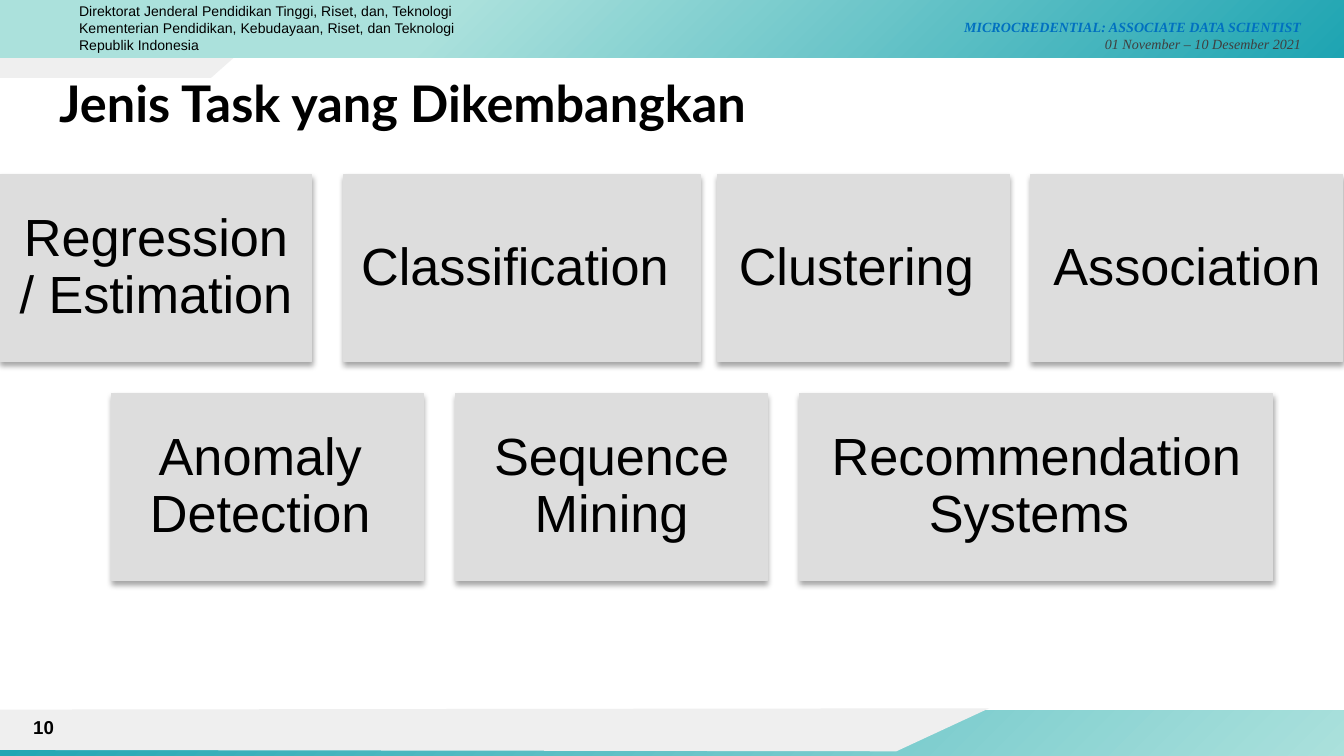
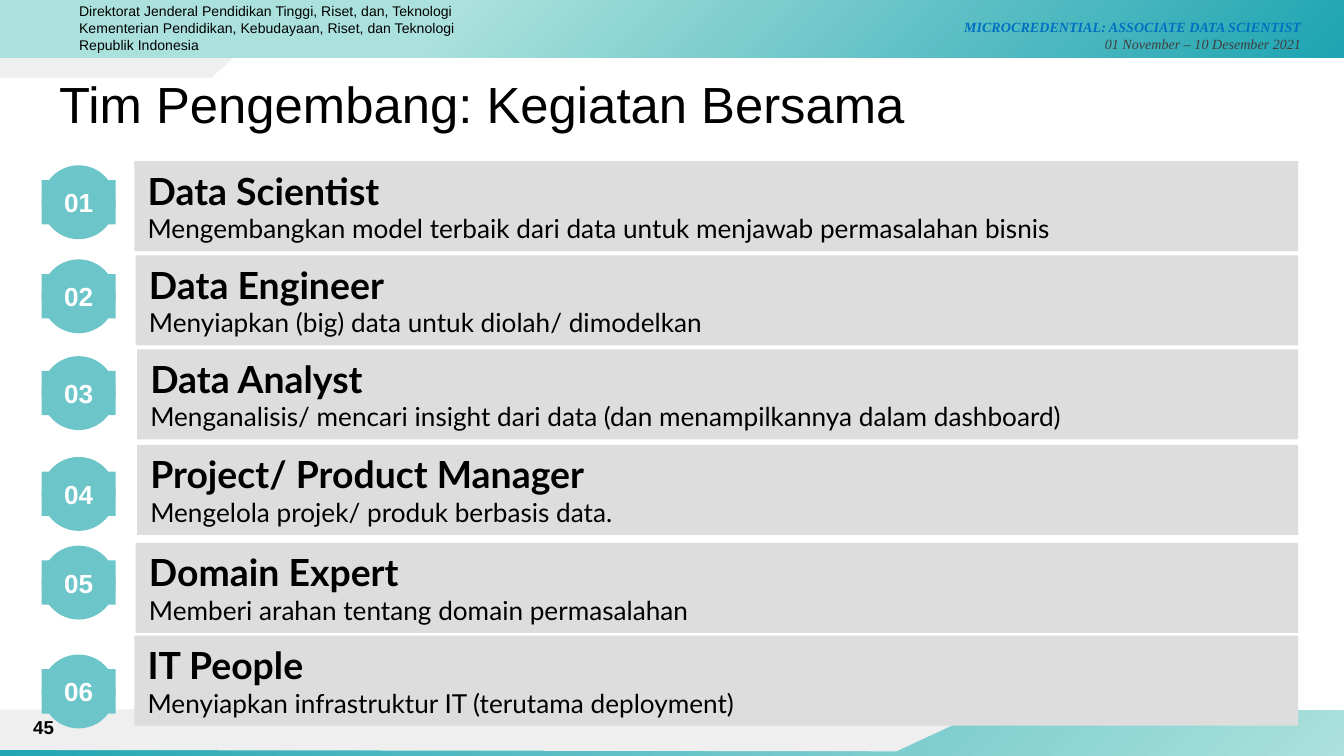
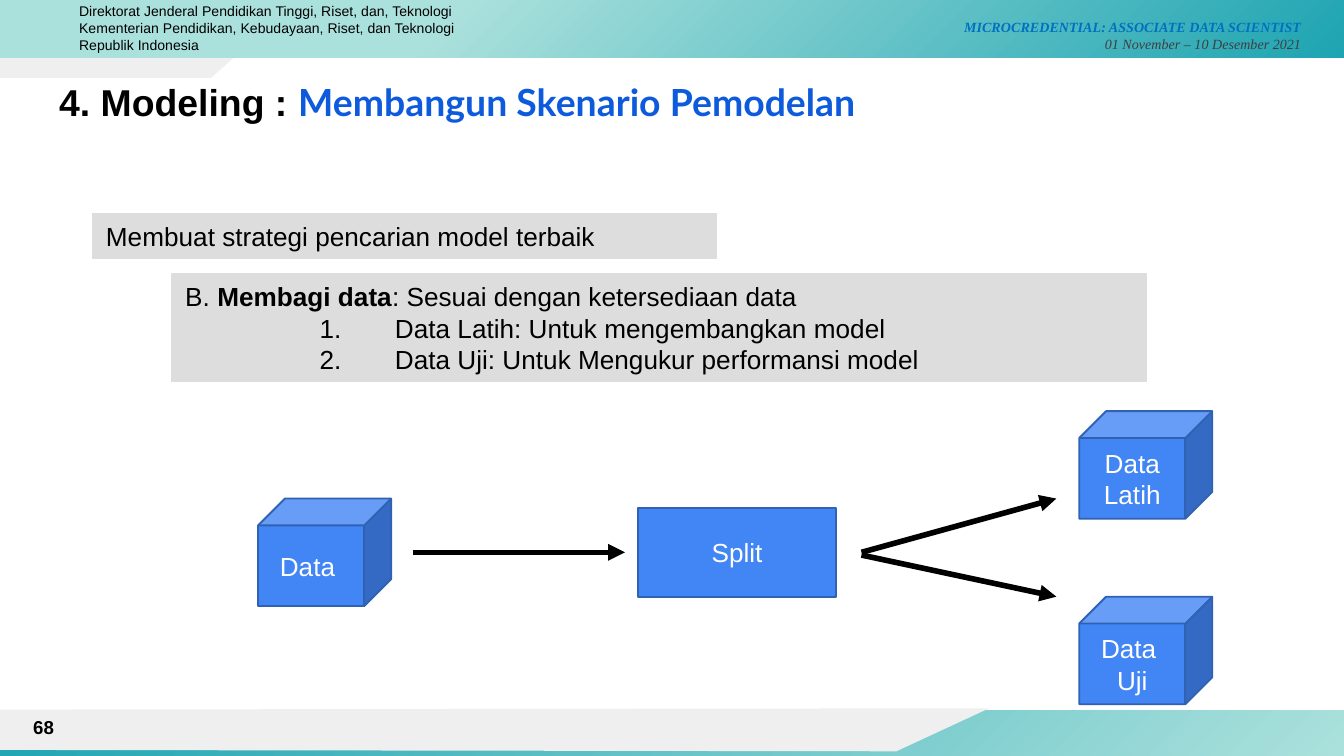
import copy
from dataclasses import dataclass
from typing import Any, NamedTuple

import lxml.etree
import pptx
import pptx.dml.color
import pptx.enum.dml
import pptx.enum.shapes
import pptx.enum.text
import pptx.oxml.ns
import pptx.util

Inches = pptx.util.Inches
Pt = pptx.util.Pt
qn = pptx.oxml.ns.qn
Align = pptx.enum.text.PP_ALIGN
Anchor = pptx.enum.text.MSO_ANCHOR
Preset = pptx.enum.shapes.MSO_SHAPE


@dataclass(frozen=True)
class Theme:
    black: str = "000000"
    white: str = "FFFFFF"
    panel: str = "DDDDDD"
    wedge: str = "EFEFEF"
    teal: str = "1EA4B2"
    mint: str = "ABE1DC"
    badge: str = "6BC5C9"
    course: str = "0070C0"
    dates: str = "3F3F3F"
    accent: str = "0D5BDC"
    node: str = "4285F4"
    node_edge: str = "3062B4"
    sans: str = "Arial"
    heading: str = "Lato"
    serif: str = "Times New Roman"
    header_size: float = 7.5
    number_size: float = 10
    body_size: float = 14
    role_size: float = 20
    title_size: float = 27
    team_title_size: float = 27.2
    card_size: float = 28


THEME = Theme()


class Span(NamedTuple):
    text: str
    size: float = THEME.body_size
    font: str = THEME.sans
    color: str = THEME.black
    bold: bool = False
    italic: bool = False


class Area(NamedTuple):
    left: float
    top: float
    width: float
    height: float

    def lengths(self) -> list[int]:
        return [Inches(value) for value in self]


class Card(NamedTuple):
    text: str
    left: float
    width: float


class Role(NamedTuple):
    name: str
    duty: str
    left: float
    top: float
    badge_top: float


class Node(NamedTuple):
    text: str
    preset: Any
    area: Area


class Arrow(NamedTuple):
    start: tuple[float, float]
    end: tuple[float, float]


TITLE_AREA = Area(0.34, 0.49, 9.32, 0.62)
CARD_HEIGHT = 1.39
CARD_ROWS = {
    1.3: [
        Card("Regression / Estimation ", 0, 2.32),
        Card("Classification ", 2.56, 2.65),
        Card("Clustering ", 5.34, 2.17),
        Card("Association ", 7.67, 2.32),
    ],
    2.93: [
        Card("Anomaly \nDetection ", 0.83, 2.32),
        Card("Sequence\n Mining ", 3.39, 2.32),
        Card("Recommendation Systems ", 5.95, 3.52),
    ],
}
ROLE_RIGHT = 9.66
ROLES = [
    Role("Data Scientist",
         "Mengembangkan model terbaik dari data untuk menjawab permasalahan bisnis",
         1, 1.2, 1.23),
    Role("Data Engineer", "Menyiapkan (big) data untuk diolah/ dimodelkan",
         1.01, 1.9, 1.93),
    Role("Data Analyst",
         "Menganalisis/ mencari insight dari data (dan menampilkannya dalam dashboard)",
         1.02, 2.6, 2.65),
    Role("Project/ Product Manager", "Mengelola projek/ produk berbasis data.",
         1.02, 3.31, 3.4),
    Role("Domain Expert", "Memberi arahan tentang domain permasalahan",
         1.01, 4.04, 4.06),
    Role("IT People", "Menyiapkan infrastruktur IT (terutama deployment)",
         1, 4.73, 4.87),
]
NODES = [
    Node("Split", Preset.RECTANGLE, Area(4.75, 3.78, 1.47, 0.66)),
    Node("Data ", Preset.CUBE, Area(1.92, 3.71, 0.99, 0.8)),
    Node("Data Latih", Preset.CUBE, Area(8.03, 3.06, 0.99, 0.8)),
    Node("Data \nUji", Preset.CUBE, Area(8.03, 4.44, 0.99, 0.8)),
]
ARROWS = [
    Arrow((3.07, 4.11), (4.65, 4.11)),
    Arrow((6.41, 4.11), (7.86, 3.71)),
    Arrow((6.41, 4.13), (7.86, 4.44)),
]


def rgb(value: str) -> pptx.dml.color.RGBColor:
    return pptx.dml.color.RGBColor.from_string(value)


def assign(target: Any, formats: dict[str, Any]) -> None:
    for name, value in formats.items():
        setattr(target, name, value)


def add_node(parent: Any, tag: str, **attributes: str) -> Any:
    return lxml.etree.SubElement(parent, qn(tag), attributes)


def add_span(para: Any, span: Span) -> None:
    """Add the span's runs; a line break takes the format of the run before it."""
    for index, piece in enumerate(span.text.split("\n")):
        if index:
            para.add_line_break()
            para._p[-1].append(copy.deepcopy(run.font._rPr))
        if piece:
            run = para.add_run()
            run.text = piece
            assign(run.font, {"size": Pt(span.size), "name": span.font,
                              "bold": span.bold, "italic": span.italic})
            run.font.color.rgb = rgb(span.color)


def write(box: Any, lines: list[list[Span]], align: Any = Align.LEFT,
          anchor: Any = Anchor.TOP, inset: tuple[float, float] = (0.1, 0.05),
          spacing: float = 1.0) -> None:
    """Fill a shape with paragraphs; inset is horizontal, then vertical."""
    frame = box.text_frame
    across, down = map(Inches, inset)
    assign(frame, {
        "word_wrap": True, "auto_size": pptx.enum.text.MSO_AUTO_SIZE.NONE,
        "vertical_anchor": anchor, "margin_left": across, "margin_right": across,
        "margin_top": down, "margin_bottom": down,
    })
    for index, line in enumerate(lines):
        para = frame.add_paragraph() if index else frame.paragraphs[0]
        assign(para, {"alignment": align, "line_spacing": spacing})
        for span in line:
            add_span(para, span)


def paint(shape: Any, fill: str, edge: str | None = None, width: float = 0.75) -> None:
    shape.shadow.inherit = False
    shape.fill.solid()
    shape.fill.fore_color.rgb = rgb(fill)
    if edge:
        shape.line.color.rgb = rgb(edge)
        shape.line.width = Pt(width)
    else:
        shape.line.fill.background()


def add_box(page: Any, area: Area, fill: str, edge: str | None = None,
            width: float = 0.75, preset: Any = Preset.RECTANGLE) -> Any:
    box = page.shapes.add_shape(preset, *area.lengths())
    paint(box, fill, edge, width)
    return box


def add_text(page: Any, area: Area, lines: list[list[Span]], **formats: Any) -> Any:
    box = page.shapes.add_textbox(*area.lengths())
    write(box, lines, **formats)
    return box


def add_band(page: Any, area: Area, stops: list[tuple[float, str]]) -> Any:
    band = add_box(page, area, THEME.teal)
    band.fill.gradient()
    band.fill.gradient_angle = 315
    for stop, (position, color) in zip(band.fill.gradient_stops, stops):
        stop.position = position
        stop.color.rgb = rgb(color)
    return band


def add_wedge(page: Any, points: list[tuple[float, float]]) -> Any:
    first, *rest = [(Inches(x), Inches(y)) for x, y in points]
    builder = page.shapes.build_freeform(*first)
    builder.add_line_segments(rest, close=True)
    wedge = builder.convert_to_shape()
    paint(wedge, THEME.wedge)
    return wedge


def furnish_layout(layout: Any, page: Any) -> None:
    """Draw the shared bands and header on a page, then move them to its layout."""
    course = Span("MICROCREDENTIAL: ASSOCIATE DATA SCIENTIST\n", THEME.header_size,
                  THEME.serif, THEME.course, True, True)
    dates = Span("01 November – 10 Desember 2021", THEME.header_size,
                 THEME.serif, THEME.dates, False, True)
    ministry = [
        "Direktorat Jenderal Pendidikan Tinggi, Riset, dan, Teknologi",
        "Kementerian Pendidikan, Kebudayaan, Riset, dan Teknologi Republik Indonesia",
    ]
    course_box = add_text(page, Area(5.95, 0.05, 3.83, 0.39), [[course, dates]],
                          align=Align.RIGHT)
    course_box.text_frame.margin_top = Inches(0.09)
    furniture = [
        add_wedge(page, [(1.83, 0.35), (0, 0.33), (0, 0.58), (1.57, 0.58)]),
        add_band(page, Area(0, 5.29, 10, 0.36), [(0, THEME.teal), (1, THEME.mint)]),
        add_wedge(page, [(7.36, 5.27), (0, 5.28), (0, 5.58), (6.67, 5.59)]),
        add_band(page, Area(0, 0, 10, 0.43), [(0.33, THEME.mint), (1, THEME.teal)]),
        course_box,
        add_text(page, Area(0.49, -0.03, 3.33, 0.48),
                 [[Span(line, THEME.header_size)] for line in ministry]),
    ]
    for shape in furniture:
        layout.shapes.element.append(shape.element)


def set_title(page: Any, spans: list[Span], spacing: float = 0.9) -> None:
    title = page.shapes.title
    assign(title, dict(zip(("left", "top", "width", "height"), TITLE_AREA.lengths())))
    write(title, [spans], inset=(0.1, 0.1), spacing=spacing)


def add_page_number(page: Any, number: int) -> None:
    add_text(page, Area(0, 5.26, 0.5, 0.3),
             [[Span(str(number), THEME.number_size, bold=True)]],
             align=Align.RIGHT, anchor=Anchor.MIDDLE)


def add_soft_shadow(shape: Any) -> None:
    effects = shape.element.spPr.find(qn("a:effectLst"))
    shadow = add_node(effects, "a:outerShdw", blurRad=str(Pt(3.1)), dist=str(Pt(1.8)),
                      dir="5400000", algn="t", rotWithShape="0")
    color = add_node(shadow, "a:srgbClr", val=THEME.black)
    add_node(color, "a:alpha", val="35000")


def add_card(page: Any, card: Card, top: float) -> None:
    box = add_box(page, Area(card.left, top, card.width, CARD_HEIGHT),
                  THEME.panel, THEME.panel)
    add_soft_shadow(box)
    write(box, [[Span(card.text, THEME.card_size)]], Align.CENTER, Anchor.MIDDLE,
          (0.12, 0.12), 0.9)


def add_role(page: Any, number: int, role: Role) -> None:
    add_box(page, Area(0.31, role.badge_top, 0.55, 0.55), THEME.badge,
            preset=Preset.OVAL)
    label = add_box(page, Area(0.31, role.badge_top + 0.11, 0.55, 0.33), THEME.badge)
    write(label, [[Span(f"{number:02}", color=THEME.white, bold=True)]],
          Align.CENTER, Anchor.MIDDLE)
    bar = add_box(page, Area(role.left, role.top, ROLE_RIGHT - role.left, 0.67),
                  THEME.panel)
    write(bar, [[Span(role.name, THEME.role_size, THEME.heading, bold=True)],
                [Span(role.duty, font=THEME.heading)]])


def add_diagram_node(page: Any, node: Node) -> None:
    box = add_box(page, node.area, THEME.node, THEME.node_edge, 1, node.preset)
    write(box, [[Span(node.text, color=THEME.white)]], Align.CENTER, Anchor.MIDDLE)


def add_arrow(page: Any, arrow: Arrow) -> None:
    ends = [Inches(value) for value in (*arrow.start, *arrow.end)]
    line = page.shapes.add_connector(pptx.enum.shapes.MSO_CONNECTOR.STRAIGHT, *ends)
    line.line.color.rgb = rgb(THEME.black)
    line.line.width = Pt(3)
    add_node(line.line._get_or_add_ln(), "a:tailEnd", type="triangle")
    add_node(line.element.spPr, "a:effectLst")


def number_paragraph(para: Any) -> None:
    para.level = 2
    properties = para._p.get_or_add_pPr()
    properties.set("marL", str(Inches(1.56)))
    properties.set("indent", str(Inches(-0.56)))
    add_node(properties, "a:buFont", typeface=THEME.sans)
    add_node(properties, "a:buAutoNum", type="arabicPeriod")


def draw_tasks(page: Any) -> None:
    set_title(page, [Span("Jenis Task yang Dikembangkan", THEME.title_size,
                          THEME.heading, bold=True)])
    for top, cards in CARD_ROWS.items():
        for card in cards:
            add_card(page, card, top)


def draw_team(page: Any) -> None:
    set_title(page, [Span("Tim Pengembang: Kegiatan Bersama", THEME.team_title_size)])
    for number, role in enumerate(ROLES, 1):
        add_role(page, number, role)


def draw_modeling(page: Any) -> None:
    set_title(page, [
        Span("4. Modeling : ", THEME.role_size, bold=True),
        Span("Membangun Skenario Pemodelan", THEME.role_size, THEME.heading,
             THEME.accent, True),
    ], spacing=1.0)
    strategy = add_box(page, Area(0.69, 1.59, 4.64, 0.33), THEME.panel, THEME.panel)
    write(strategy, [[Span("Membuat strategi pencarian model terbaik")]])
    split_rule = add_box(page, Area(1.28, 2.04, 7.25, 0.8), THEME.panel, THEME.panel)
    write(split_rule, [
        [Span("B. "), Span("Membagi data", bold=True),
         Span(": Sesuai dengan ketersediaan data")],
        [Span("Data Latih: Untuk mengembangkan model")],
        [Span("Data Uji: Untuk Mengukur performansi model")],
    ])
    for para in split_rule.text_frame.paragraphs[1:]:
        number_paragraph(para)
    for node in NODES:
        add_diagram_node(page, node)
    for arrow in ARROWS:
        add_arrow(page, arrow)


def main() -> None:
    deck = pptx.Presentation()
    width = Inches(10)
    assign(deck, {"slide_width": width, "slide_height": width * 9 // 16})
    layout = deck.slide_layouts.get_by_name("Title Only")
    drawings = {10: draw_tasks, 45: draw_team, 68: draw_modeling}
    for index, (number, draw) in enumerate(drawings.items()):
        page = deck.slides.add_slide(layout)
        if index == 0:
            furnish_layout(layout, page)
        draw(page)
        add_page_number(page, number)
    deck.save("out.pptx")


if __name__ == "__main__":
    main()
